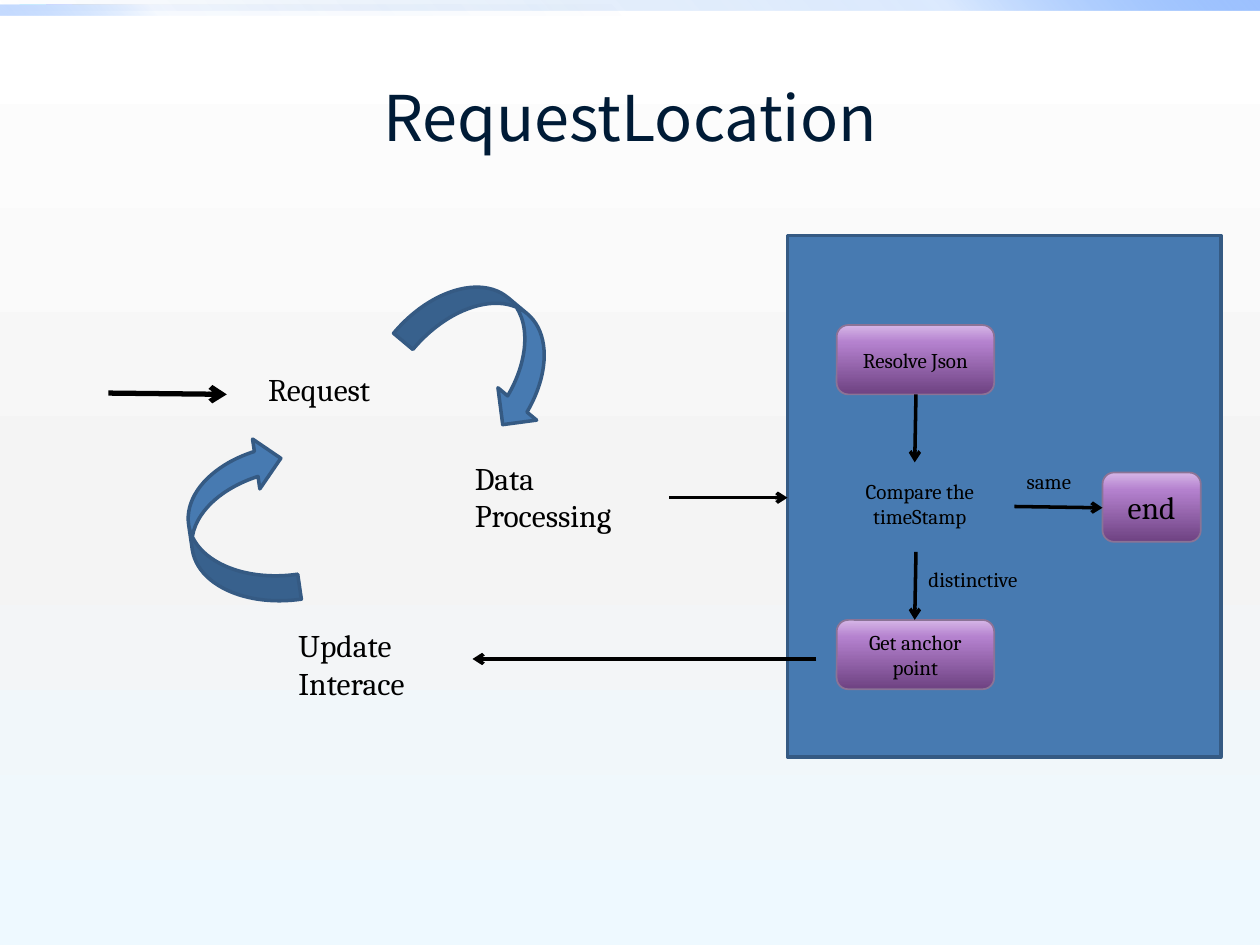
import dataclasses

import lxml.etree
import pptx
import pptx.dml.color
import pptx.enum.shapes
import pptx.enum.text
import pptx.oxml.ns
import pptx.util

Inches = pptx.util.Inches
Pt = pptx.util.Pt
qn = pptx.oxml.ns.qn
SHAPE = pptx.enum.shapes.MSO_SHAPE
ALIGN = pptx.enum.text.PP_ALIGN
ANCHOR = pptx.enum.text.MSO_ANCHOR


@dataclasses.dataclass(frozen=True)
class Theme:
    """Colours, gradients (position, colour, opacity), fonts and type sizes."""
    ink: str = "000000"
    title_ink: str = "001B36"
    blue: str = "477AB1"
    blue_edge: str = "355A83"
    node_edge: str = "8B7396"
    body_font: str = "Cambria"
    title_font: str = "Noto Sans CJK SC"
    title: int = 36
    body: int = 18
    small: int = 12
    backdrop: tuple = ((0, "FFFFFF", 100), (55, "F4F4F4", 100), (100, "EEF9FF", 100))
    top_bar: tuple = ((0, "0058B7", 0), (75, "4F95FF", 20), (100, "9EC2FF", 100))
    left_bar: tuple = ((0, "0058B7", 0), (75, "4F95FF", 5), (100, "9EC2FF", 60))
    node: tuple = ((0, "6E4282", 100), (75, "B481CE", 100), (100, "D6B6E7", 100))


def rgb(value):
    """Turn a hex string into a colour."""
    return pptx.dml.color.RGBColor.from_string(value)


class FlowSlide:
    """Draws the elements of a flow diagram on one slide."""

    def __init__(self, prs, theme):
        """Add a blank slide with the theme backdrop."""
        self.theme = theme
        self.s = prs.slides.add_slide(prs.slide_layouts[6])
        self.gradient(self.s.background.fill, self.s.element, theme.backdrop, 90)

    def gradient(self, fill, element, stops, angle):
        """Give a fill its gradient stops and clockwise angle."""
        fill.gradient()
        grad = element.find(".//" + qn("a:gradFill"))
        gs_list = grad.find(qn("a:gsLst"))
        for gs in list(gs_list):
            gs_list.remove(gs)
        for pos, colour, opacity in stops:
            gs = lxml.etree.SubElement(gs_list, qn("a:gs"), pos=str(pos * 1000))
            clr = lxml.etree.SubElement(gs, qn("a:srgbClr"), val=colour)
            if opacity < 100:
                lxml.etree.SubElement(clr, qn("a:alpha"), val=str(opacity * 1000))
        grad.find(qn("a:lin")).set("ang", str(angle * 60000))

    def add_text(self, sp, text, size, font, colour, align, anchor):
        """Put one styled run in a shape."""
        tf = sp.text_frame
        tf.word_wrap = True
        tf.vertical_anchor = anchor
        p = tf.paragraphs[0]
        p.alignment = align
        r = p.add_run()
        r.text = text
        r.font.size = Pt(size)
        r.font.name = font
        r.font.color.rgb = rgb(colour)

    def shape(self, kind, box, edge=None, width=1):
        """Add a preset shape with an optional outline."""
        sp = self.s.shapes.add_shape(kind, *map(Inches, box))
        sp.shadow.inherit = False
        if edge:
            sp.line.color.rgb = rgb(edge)
            sp.line.width = Pt(width)
        else:
            sp.line.fill.background()
        return sp

    def bar(self, box, stops, angle):
        """Add a decorative gradient bar."""
        sp = self.shape(SHAPE.RECTANGLE, box)
        self.gradient(sp.fill, sp.element, stops, angle)

    def solid(self, kind, box, rotation=0):
        """Add a blue shape."""
        sp = self.shape(kind, box, self.theme.blue_edge, 2)
        sp.fill.solid()
        sp.fill.fore_color.rgb = rgb(self.theme.blue)
        sp.rotation = rotation

    def node(self, box, text, size):
        """Add a purple process node."""
        t = self.theme
        sp = self.shape(SHAPE.FLOWCHART_ALTERNATE_PROCESS, box, t.node_edge)
        self.gradient(sp.fill, sp.element, t.node, 270)
        self.add_text(sp, text, size, t.body_font, t.ink, ALIGN.CENTER, ANCHOR.MIDDLE)

    def label(self, box, text, size, align=ALIGN.LEFT):
        """Add a plain text label."""
        t = self.theme
        sp = self.s.shapes.add_textbox(*map(Inches, box))
        self.add_text(sp, text, size, t.body_font, t.ink, align, ANCHOR.TOP)

    def title(self, text):
        """Add the slide title."""
        t = self.theme
        sp = self.s.shapes.add_textbox(Inches(0.5), Inches(0.3), Inches(9), Inches(1.25))
        self.add_text(sp, text, t.title, t.title_font, t.title_ink, ALIGN.CENTER, ANCHOR.MIDDLE)

    def arrow(self, ends, width=2):
        """Add a straight line with an open arrowhead at its end."""
        straight = pptx.enum.shapes.MSO_CONNECTOR.STRAIGHT
        line = self.s.shapes.add_connector(straight, *map(Inches, ends))
        line.line.color.rgb = rgb(self.theme.ink)
        line.line.width = Pt(width)
        props = line.element.spPr
        lxml.etree.SubElement(props.find(qn("a:ln")), qn("a:tailEnd"), type="arrow")
        lxml.etree.SubElement(props, qn("a:effectLst"))


def main():
    """Build the request-location flow slide."""
    prs = pptx.Presentation()
    prs.slide_width, prs.slide_height = Inches(10), Inches(7.5)
    theme = Theme()
    s = FlowSlide(prs, theme)

    s.bar((0, 0, 10, 0.08), theme.top_bar, 315)
    s.bar((0, 0.04, 5, 0.08), theme.left_bar, 135)
    s.solid(SHAPE.RECTANGLE, (6.25, 1.87, 3.44, 4.14))
    s.title("RequestLocation")
    s.solid(SHAPE.CURVED_LEFT_ARROW, (1.5, 3.49, 0.8, 1.33), 171.7)
    s.solid(SHAPE.CURVED_LEFT_ARROW, (3.49, 2.1, 0.8, 1.33), 309.9)

    for box, text in (
        ((2.03, 2.89, 1.41, 0.4), "Request"),
        ((2.27, 4.92, 1.41, 0.71), "Update Interace"),
        ((3.67, 3.59, 1.64, 0.71), "Data Processing"),
    ):
        s.label(box, text, theme.body)

    for box, text, size in (
        ((6.64, 2.58, 1.25, 0.55), "Resolve Json", theme.small),
        ((8.75, 3.75, 0.78, 0.55), "end", theme.body),
        ((6.64, 4.92, 1.25, 0.55), "Get anchor point", theme.small),
    ):
        s.node(box, text, size)

    s.arrow((0.86, 3.12, 1.8, 3.13), 3)
    for ends in (
        (7.27, 3.13, 7.26, 3.67),
        (7.27, 4.38, 7.26, 4.92),
        (8.05, 4.02, 8.75, 4.03),
        (5.31, 3.95, 6.25, 3.95),
        (6.48, 5.23, 3.75, 5.23),
    ):
        s.arrow(ends)

    s.label((8.05, 3.67, 0.7, 0.3), "same", theme.small)
    s.label((7.27, 4.45, 1.09, 0.3), "distinctive", theme.small)
    s.label((6.56, 3.75, 1.48, 0.5), "Compare the timeStamp", theme.small, ALIGN.CENTER)

    prs.save("out.pptx")


if __name__ == "__main__":
    main()
